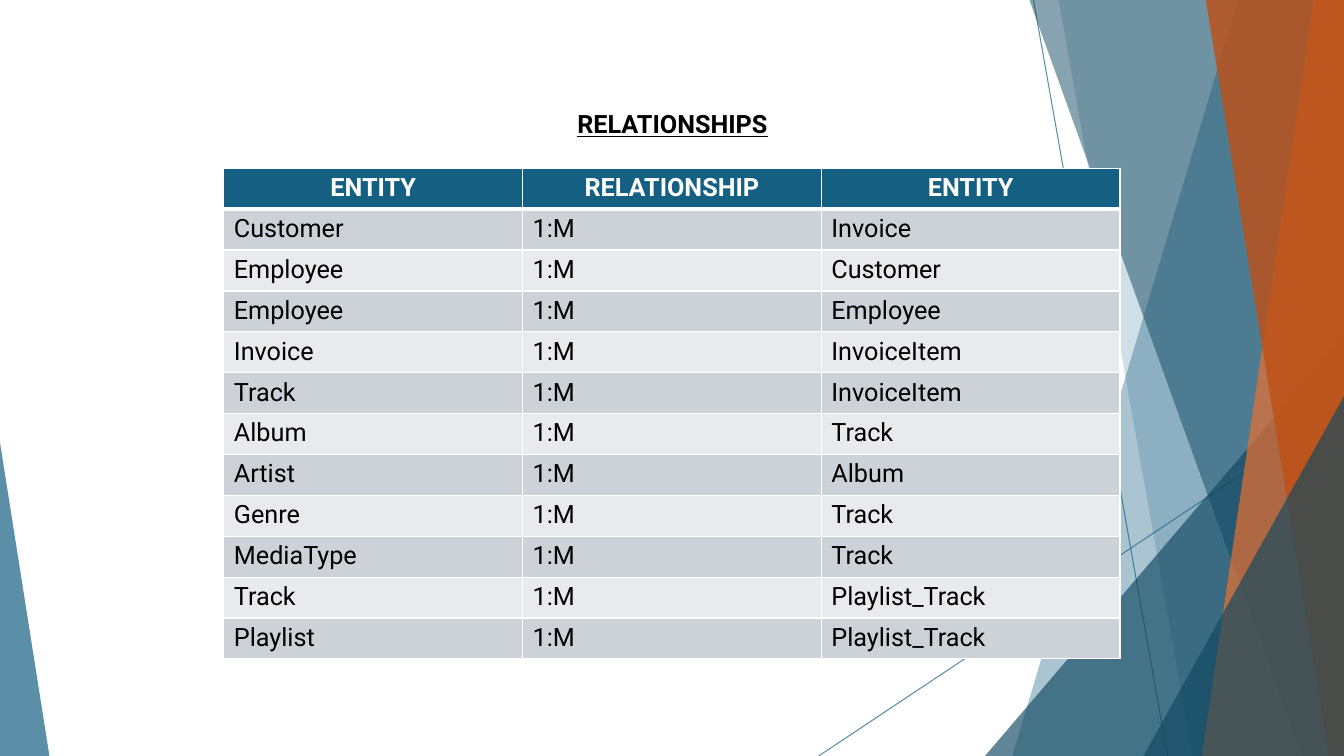
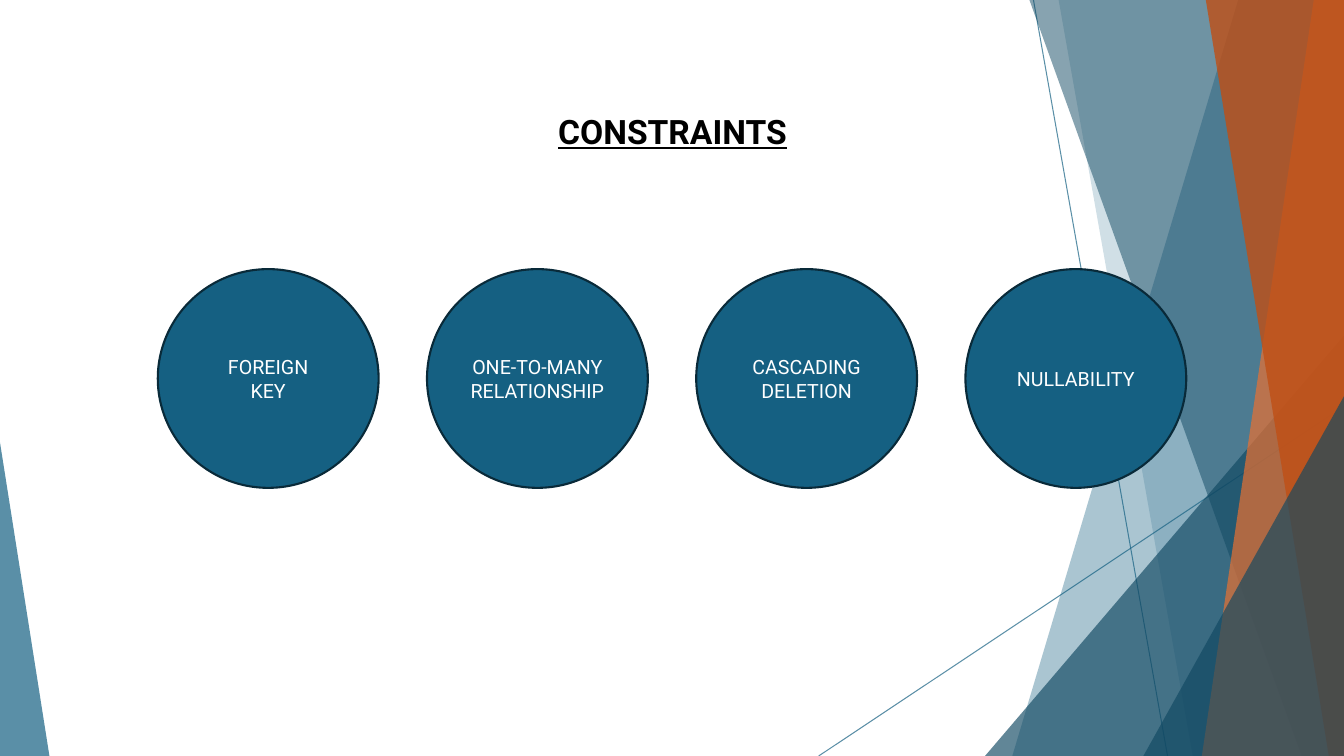
from lxml import etree
from pptx import Presentation
from pptx import util as u
from pptx.dml.color import RGBColor
from pptx.enum import shapes, text
from pptx.oxml.ns import qn

Inches, Pt = u.Inches, u.Pt
WIDTH, HEIGHT = 13.33, 7.5
FONT = "Roboto"
COLORS = {
    "blue": "156082", "navy": "104862", "outline": "092A39",
    "orange": "E97132", "rust": "C04F15",
    "odd_row": "CCD2D8", "even_row": "E8EAED",
    "white": "FFFFFF", "black": "000000",
}

# Content
RELATIONSHIPS = [
    ("ENTITY", "RELATIONSHIP", "ENTITY"),
    ("Customer", "1:M", "Invoice"),
    ("Employee", "1:M", "Customer"),
    ("Employee", "1:M", "Employee"),
    ("Invoice", "1:M", "InvoiceItem"),
    ("Track", "1:M", "InvoiceItem"),
    ("Album", "1:M", "Track"),
    ("Artist", "1:M", "Album"),
    ("Genre", "1:M", "Track"),
    ("MediaType", "1:M", "Track"),
    ("Track", "1:M", "Playlist_Track"),
    ("Playlist", "1:M", "Playlist_Track"),
]
CONSTRAINTS = [
    ("FOREIGN", "KEY"),
    ("ONE-TO-MANY", "RELATIONSHIP"),
    ("CASCADING", "DELETION"),
    ("NULLABILITY",),
]

# Backdrop, from back to front
LINES = [(10.25, 0, 11.58, HEIGHT), (WIDTH, 4.03, 8.12, HEIGHT)]
FACETS = [  # bands: top left x, bottom left x; triangles: left, top, width, apex
    ("band", (12.28, 10.04), "blue", 36),
    ("band", (10.5, 11.83), "blue", 20),
    ("triangle", (9.77, 3.33, 3.56, 1), "navy", 66),
    ("band", (10.21, 12.91), "navy", 50),
    ("band", (13.03, 11.92), "orange", 70),
    ("band", (11.96, 13.18), "rust", 80),
    ("triangle", (11.34, 3.93, 1.99, 1), "navy", 66),
    ("triangle", (0, 4.39, 0.49, 0), "blue", 70),
]


def rgb(name):
    return RGBColor.from_string(COLORS[name])


def paint(fill, name):
    fill.solid()
    fill.fore_color.rgb = rgb(name)


def set_opacity(shape, percent):
    for color in shape.element.spPr.iter(qn("a:srgbClr")):
        etree.SubElement(color, qn("a:alpha"), val=str(percent * 1000))


def style(para, size, color, bold=False, align=text.PP_ALIGN.CENTER):
    para.alignment = align
    para.font.name, para.font.size, para.font.bold = FONT, Pt(size), bold
    para.font.color.rgb = rgb(color)


def add_band(slide, top_x, bottom_x):
    corners = [(WIDTH, 0), (WIDTH, HEIGHT), (bottom_x, HEIGHT)]
    builder = slide.shapes.build_freeform(Inches(top_x), 0)
    builder.add_line_segments([(Inches(x), Inches(y)) for x, y in corners], close=True)
    return builder.convert_to_shape()


def add_triangle(slide, left, top, width, apex):
    triangle = slide.shapes.add_shape(
        shapes.MSO_SHAPE.ISOSCELES_TRIANGLE,
        Inches(left), Inches(top), Inches(width), Inches(HEIGHT - top))
    triangle.adjustments[0] = apex
    return triangle


def move_backdrop_to_layout(slide):
    """Draw the facets once and hang them on the layout that all slides use."""
    parts = []
    for ends in LINES:
        line = slide.shapes.add_connector(
            shapes.MSO_CONNECTOR.STRAIGHT, *(Inches(value) for value in ends))
        line.line.width = Pt(0.75)
        line.line.color.rgb = rgb("blue")
        set_opacity(line, 70)
        etree.SubElement(line.element.spPr, qn("a:effectLst"))
        parts.append(line)
    makers = {"band": add_band, "triangle": add_triangle}
    for kind, geometry, color, opacity in FACETS:
        facet = makers[kind](slide, *geometry)
        facet.shadow.inherit = False
        facet.line.fill.background()
        paint(facet.fill, color)
        set_opacity(facet, opacity)
        parts.append(facet)
    for part in parts:
        slide.slide_layout.shapes.element.append(part.element)


def add_title(slide, words, size, height):
    box = slide.shapes.add_textbox(Inches(3.33), Inches(0.97), Inches(6.68), Inches(height))
    frame = box.text_frame
    frame.word_wrap = True
    frame.auto_size = text.MSO_AUTO_SIZE.SHAPE_TO_FIT_TEXT
    para = frame.paragraphs[0]
    para.text = words
    para.line_spacing = 1.2
    style(para, size, "black", bold=True)
    para.font.underline = True


def add_borders(cell, widths):
    for side, points in widths.items():
        border = etree.SubElement(
            cell._tc.get_or_add_tcPr(), qn(f"a:ln{side}"), w=str(Pt(points)))
        fill = etree.SubElement(border, qn("a:solidFill"))
        etree.SubElement(fill, qn("a:srgbClr"), val=COLORS["white"])


def add_relationship_table(slide):
    columns, row_height = len(RELATIONSHIPS[0]), Inches(4.87 / len(RELATIONSHIPS))
    table = slide.shapes.add_table(
        len(RELATIONSHIPS), columns,
        Inches(2.22), Inches(1.67), Inches(8.89), Inches(4.87)).table
    for row, entries in enumerate(RELATIONSHIPS):
        table.rows[row].height = row_height
        header = row == 0
        shade = "blue" if header else "odd_row" if row % 2 else "even_row"
        for column, words in enumerate(entries):
            cell = table.cell(row, column)
            cell.text = words
            add_borders(cell, {"L": 1, "R": 1, "T": 3 if row == 1 else 1, "B": 3 if header else 1})
            paint(cell.fill, shade)
            align = text.PP_ALIGN.CENTER if header else text.PP_ALIGN.LEFT
            style(cell.text_frame.paragraphs[0], 18,
                  "white" if header else "black", header, align)


def add_constraint_circles(slide):
    width, height, pitch = 2.19, 2.17, 2.67
    left = (WIDTH - pitch * (len(CONSTRAINTS) - 1) - width) / 2
    for index, words in enumerate(CONSTRAINTS):
        circle = slide.shapes.add_shape(
            shapes.MSO_SHAPE.OVAL, Inches(left + index * pitch), Inches(2.67),
            Inches(width), Inches(height))
        circle.shadow.inherit = False
        paint(circle.fill, "blue")
        circle.line.color.rgb = rgb("outline")
        circle.line.width = Pt(1.5)
        frame = circle.text_frame
        frame.vertical_anchor = text.MSO_ANCHOR.MIDDLE
        frame.text = "\n".join(words)
        for para in frame.paragraphs:
            style(para, 14, "white")


def main():
    deck = Presentation()
    deck.slide_width, deck.slide_height = Inches(WIDTH), Inches(HEIGHT)
    blank = deck.slide_layouts[6]

    # Relationships
    page = deck.slides.add_slide(blank)
    move_backdrop_to_layout(page)
    add_relationship_table(page)
    add_title(page, "RELATIONSHIPS", 18, 0.43)

    # Constraints
    page = deck.slides.add_slide(blank)
    add_title(page, "CONSTRAINTS", 24, 0.54)
    add_constraint_circles(page)

    deck.save("out.pptx")


if __name__ == "__main__":
    main()
